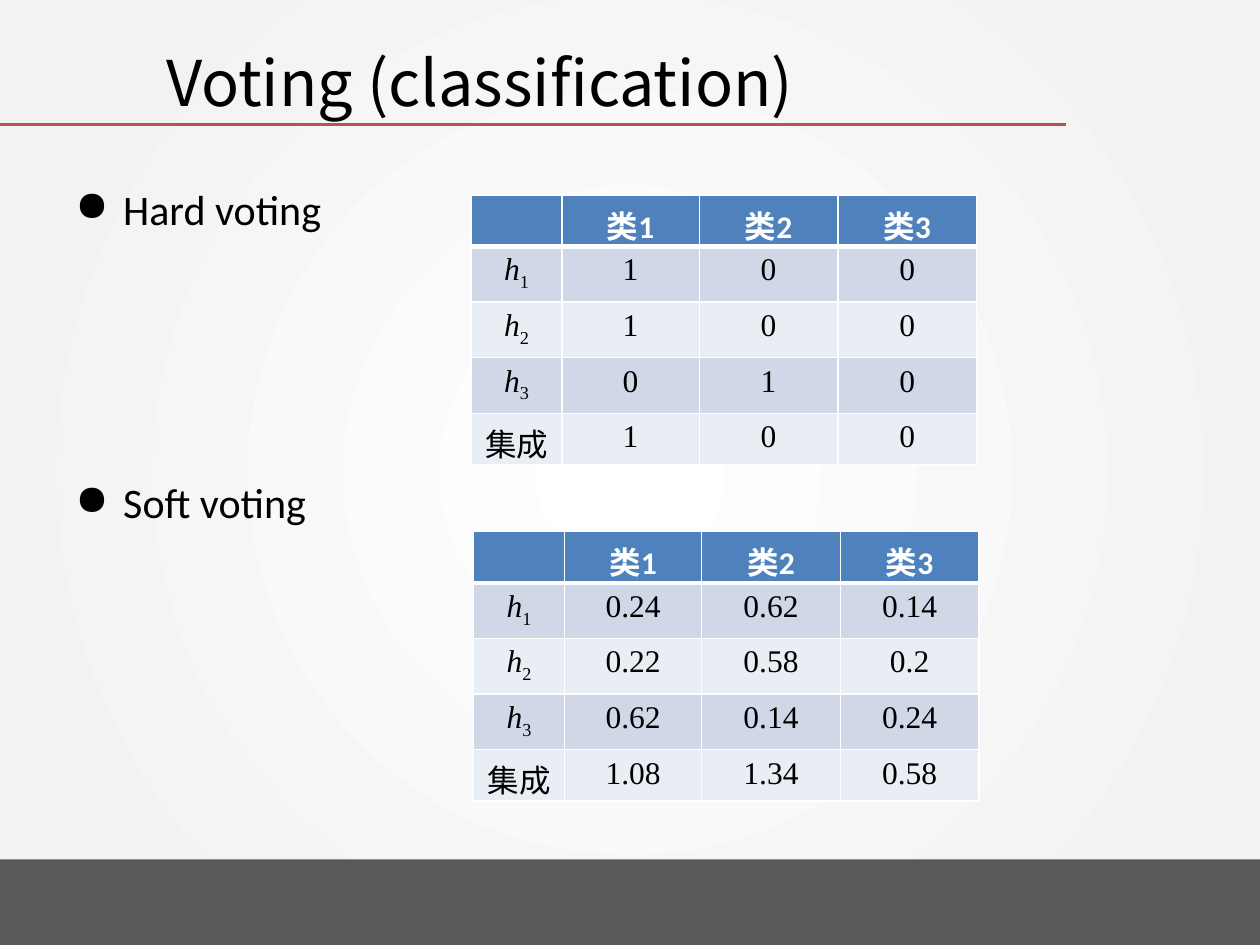
from lxml import etree
from pptx import Presentation
from pptx import util as u
from pptx.dml.color import RGBColor
from pptx.enum import shapes, text
from pptx.oxml import parse_xml
from pptx.oxml.ns import nsdecls, qn

BLACK = RGBColor(0x00, 0x00, 0x00)
WHITE = RGBColor(0xFF, 0xFF, 0xFF)
GREY = RGBColor(0x59, 0x59, 0x59)
RED = RGBColor(0xC0, 0x50, 0x4D)
BLUE = RGBColor(0x4F, 0x81, 0xBD)
BANDS = [RGBColor(0xD0, 0xD8, 0xE8), RGBColor(0xE9, 0xED, 0xF4)]
CJK = "Noto Sans CJK SC"

# Grid: 100 columns by 75 rows
presentation = Presentation()
presentation.slide_width, presentation.slide_height = u.Inches(10), u.Inches(7.5)
COLUMN = presentation.slide_width / 100
ROW = presentation.slide_height / 75
slide = presentation.slides.add_slide(presentation.slide_layouts[6])


def place(left, top, width, height):
    return [round(left * COLUMN), round(top * ROW), round(width * COLUMN), round(height * ROW)]


def add_run(paragraph, words, color=BLACK, baseline=0, **formats):
    run = paragraph.add_run()
    run.text = words
    for name, value in formats.items():
        setattr(run.font, name, value)
    run.font.color.rgb = color
    properties = run.font._element
    etree.SubElement(properties, qn("a:ea")).set("typeface", CJK)
    if baseline:
        properties.set("baseline", str(baseline * 1000))


# Background: soft radial gradient
slide._element.cSld.insert(0, parse_xml(
    f'<p:bg {nsdecls("p", "a")}><p:bgPr><a:gradFill rotWithShape="1"><a:gsLst>'
    '<a:gs pos="0"><a:srgbClr val="FFFFFF"/></a:gs>'
    '<a:gs pos="85000"><a:srgbClr val="F2F2F2"><a:alpha val="80000"/></a:srgbClr></a:gs>'
    '<a:gs pos="100000"><a:srgbClr val="F2F2F2"/></a:gs></a:gsLst>'
    '<a:path path="circle"><a:fillToRect l="50000" t="50000" r="50000" b="50000"/></a:path>'
    '</a:gradFill><a:effectLst/></p:bgPr></p:bg>'))

# Footer band
footer = slide.shapes.add_shape(shapes.MSO_SHAPE.RECTANGLE, *place(-6.7, 68.2, 112.6, 7.1))
footer.shadow.inherit = False
footer.fill.solid()
footer.fill.fore_color.rgb = GREY
footer.line.fill.background()

# Title rule
left, top, width, _ = place(0, 9.9, 84.6, 0)
rule = slide.shapes.add_connector(shapes.MSO_CONNECTOR.STRAIGHT, left, top, left + width, top)
rule.line.color.rgb = RED
rule.line.width = u.Pt(2)
etree.SubElement(rule._element.spPr, qn("a:effectLst"))

# Bulleted list, spaced so that each item heads its table
body = slide.shapes.add_textbox(*place(5, 14.1, 90, 53)).text_frame
body.word_wrap = True
for index, (words, gap) in enumerate([("Hard voting", 0), ("Soft voting", 138.7)]):
    paragraph = body.paragraphs[0] if index == 0 else body.add_paragraph()
    paragraph.space_before = u.Pt(gap)
    properties = paragraph._element.get_or_add_pPr()
    properties.set("marL", str(u.Inches(0.38)))
    properties.set("indent", str(-u.Inches(0.38)))
    etree.SubElement(properties, qn("a:buChar")).set("char", "●")
    add_run(paragraph, words, size=u.Pt(24), name="Calibri")

# Title
title = slide.shapes.add_textbox(*place(12.2, 2.9, 72.4, 7.1)).text_frame
title.word_wrap = True
title.vertical_anchor = text.MSO_ANCHOR.MIDDLE
add_run(title.paragraphs[0], "Voting (classification)", size=u.Pt(36), name=CJK)

# Voting tables
HEADER = ["", "类1", "类2", "类3"]
LABELS = ["h1", "h2", "h3", "集成"]
COLUMN_WIDTHS = [7.2, 10.9, 11, 11]
hard_votes = [["1", "0", "0"], ["1", "0", "0"], ["0", "1", "0"], ["1", "0", "0"]]
soft_votes = [["0.24", "0.62", "0.14"], ["0.22", "0.58", "0.2"],
              ["0.62", "0.14", "0.24"], ["1.08", "1.34", "0.58"]]

for left, top, votes in [(37.4, 15.5, hard_votes), (37.6, 42.2, soft_votes)]:
    rows = [HEADER] + [[label] + values for label, values in zip(LABELS, votes)]
    table = slide.shapes.add_table(len(rows), len(HEADER), *place(left, top, 40.2, 20.3)).table
    for column, width in zip(table.columns, COLUMN_WIDTHS):
        column.width = round(width * COLUMN)
    for row_index, row in enumerate(rows):
        is_header = row_index == 0
        for column_index, words in enumerate(row):
            cell = table.cell(row_index, column_index)
            cell.fill.solid()
            cell.fill.fore_color.rgb = BLUE if is_header else BANDS[(row_index - 1) % 2]

            # White borders, thick between header and body
            thick_side = {0: "B", 1: "T"}.get(row_index)
            for position, side in enumerate("LRTB"):
                border = u.Pt(3 if side == thick_side else 1)
                cell._tc.get_or_add_tcPr().insert(position, parse_xml(
                    f'<a:ln{side} {nsdecls("a")} w="{border}"><a:solidFill>'
                    f'<a:srgbClr val="{WHITE}"/></a:solidFill></a:ln{side}>'))

            paragraph = cell.text_frame.paragraphs[0]
            paragraph.alignment = text.PP_ALIGN.CENTER
            style = {"size": u.Pt(18), "bold": is_header,
                     "name": "Calibri" if is_header else "Times New Roman"}
            if words.startswith("h"):
                add_run(paragraph, "h", italic=True, **style)
                add_run(paragraph, words[1:], baseline=-25, **style)
            elif words:
                add_run(paragraph, words, WHITE if is_header else BLACK, **style)

presentation.save("out.pptx")
